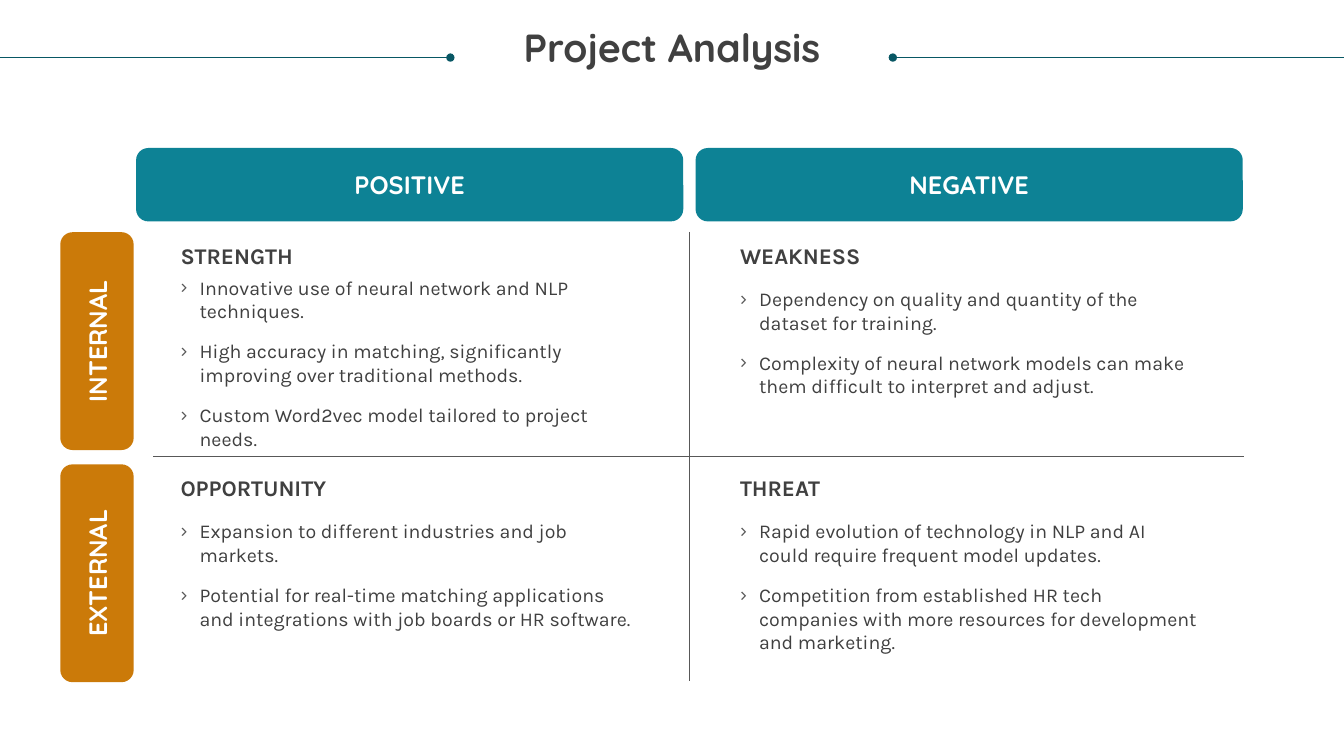
"""Build the project analysis slide: a two-by-two SWOT grid."""
from lxml.etree import SubElement
from pptx import Presentation
from pptx.dml.color import RGBColor as RGB
from pptx.enum.shapes import MSO_CONNECTOR as CONN, MSO_SHAPE as SHAPE
from pptx.enum.text import MSO_ANCHOR as ANCHOR, MSO_AUTO_SIZE as AUTO, PP_ALIGN as ALIGN
from pptx.oxml.ns import qn
from pptx.util import Cm, Pt

TITLE = "Project Analysis"
COLUMNS = ["POSITIVE", "NEGATIVE"]
ROWS = ["INTERNAL", "EXTERNAL"]
CELLS = [
    ("STRENGTH", 0.84, [
        "Innovative use of neural network and NLP techniques.",
        "High accuracy in matching, significantly improving over traditional methods.",
        "Custom Word2vec model tailored to project needs."]),
    ("WEAKNESS", 1.13, [
        "Dependency on quality and quantity of the dataset for training.",
        "Complexity of neural network models can make them difficult to interpret and adjust."]),
    ("OPPORTUNITY", 1.13, [
        "Expansion to different industries and job markets.",
        "Potential for real-time matching applications and integrations with job boards "
        "or HR software."]),
    ("THREAT", 1.13, [
        "Rapid evolution of technology in NLP and AI could require frequent model updates.",
        "Competition from established HR tech companies with more resources for development "
        "and marketing."]),
]
COLORS = {"text": "404040", "white": "FFFFFF", "teal": "0D8295", "orange": "CB7A09",
          "rule": "085764", "grid": "585858"}
FORMATS = {
    "title": {"name": "Quicksand", "size": Pt(28), "bold": True},
    "label": {"name": "Quicksand", "size": Pt(18), "bold": True},
    "heading": {"name": "Karla", "size": Pt(16), "bold": True},
    "list": {"name": "Karla", "size": Pt(14), "bold": False},
}
WIDTH, HEIGHT = 33.87, 19.05
COL_STEP, ROW_STEP = 14.1, 5.85
LINES = [
    ((11.35, 1.45), (0, 1.45), "rule", True),
    ((22.5, 1.45), (WIDTH, 1.45), "rule", True),
    ((3.86, 11.51), (31.34, 11.51), "grid", False),
    ((17.37, 5.84), (17.37, 17.17), "grid", False),
]


def write(sp, lines, style, color="text", align=ALIGN.LEFT, anchor=ANCHOR.TOP, before=0, spacing=1.0):
    tf = sp.text_frame
    frame = {"word_wrap": True, "auto_size": AUTO.NONE, "vertical_anchor": anchor,
             "margin_left": 0, "margin_right": 0, "margin_top": 0, "margin_bottom": 0}
    para = {"alignment": align, "space_before": Pt(before), "line_spacing": spacing}
    for key, value in frame.items():
        setattr(tf, key, value)
    for i, line in enumerate(lines):
        p = tf.paragraphs[0] if i == 0 else tf.add_paragraph()
        for key, value in para.items():
            setattr(p, key, value)
        r = p.add_run()
        r.text = line
        for key, value in FORMATS[style].items():
            setattr(r.font, key, value)
        r.font.color.rgb = RGB.from_string(COLORS[color])


def add_bullets(sp):
    for p in sp.text_frame.paragraphs:
        pr = p._p.get_or_add_pPr()
        pr.set("marL", str(Cm(0.48)))
        pr.set("indent", str(-Cm(0.48)))
        clr = SubElement(pr, qn("a:buClr"))
        SubElement(clr, qn("a:srgbClr"), val=COLORS["grid"])
        SubElement(pr, qn("a:buFont"), typeface="Karla")
        SubElement(pr, qn("a:buChar"), char="›")


def place(sp, *box):
    for key, value in zip(("left", "top", "width", "height"), box):
        setattr(sp, key, Cm(value))


def add_label(shapes, text, color, box, rotation=0):
    sp = shapes.add_shape(SHAPE.ROUNDED_RECTANGLE, *map(Cm, box))
    sp.shadow.inherit = False
    sp.rotation = rotation
    sp.fill.solid()
    sp.fill.fore_color.rgb = RGB.from_string(COLORS[color])
    sp.line.fill.background()
    write(sp, [text], "label", "white", ALIGN.CENTER, ANCHOR.MIDDLE)


def add_line(shapes, start, end, color, dotted):
    cx = shapes.add_connector(CONN.STRAIGHT, *map(Cm, start + end))
    cx.line.width = Pt(0.5)
    cx.line.color.rgb = RGB.from_string(COLORS[color])
    if dotted:
        SubElement(cx.line._get_or_add_ln(), qn("a:headEnd"), type="oval")
    SubElement(cx._element.spPr, qn("a:effectLst"))


def main():
    prs = Presentation()
    prs.slide_width, prs.slide_height = Cm(WIDTH), Cm(HEIGHT)
    slide = prs.slides.add_slide(prs.slide_layouts.get_by_name("Comparison"))
    shapes = slide.shapes
    bodies = [sp for sp in slide.placeholders if sp.placeholder_format.idx > 0]

    place(shapes.title, 0.64, 0.71, 32.59, 1.85)
    write(shapes.title, [TITLE], "title", align=ALIGN.CENTER, spacing=0.9)
    for line in LINES:
        add_line(shapes, *line)
    for i, text in enumerate(COLUMNS):
        add_label(shapes, text, "teal", (3.43 + i * COL_STEP, 3.73, 13.79, 1.85))
    for i, text in enumerate(ROWS):
        add_label(shapes, text, "orange", (-0.3, 7.67 + i * ROW_STEP, 5.49, 1.85), 270)

    for i, (heading, gap, items) in enumerate(CELLS):
        row, col = divmod(i, 2)
        left, top = 4.55 + col * COL_STEP, 6.1 + row * ROW_STEP
        head, body = [bodies.pop(0) if bodies else shapes.add_textbox(0, 0, 0, 0)
                      for _ in range(2)]
        place(head, left, top, 11.56, 0.69)
        write(head, [heading], "heading")
        place(body, left, top + gap, 11.56, 4.4)
        write(body, items, "list", before=12)
        add_bullets(body)
    prs.save("out.pptx")


if __name__ == "__main__":
    main()
